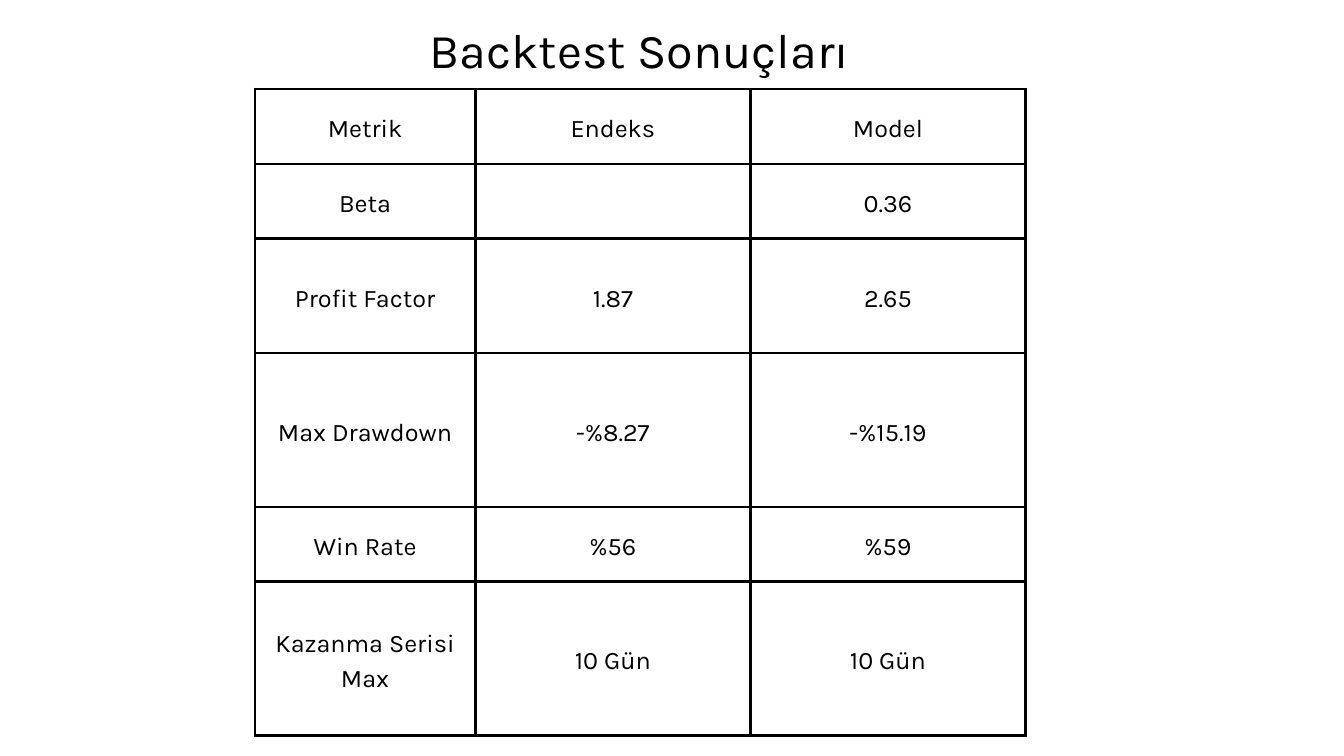
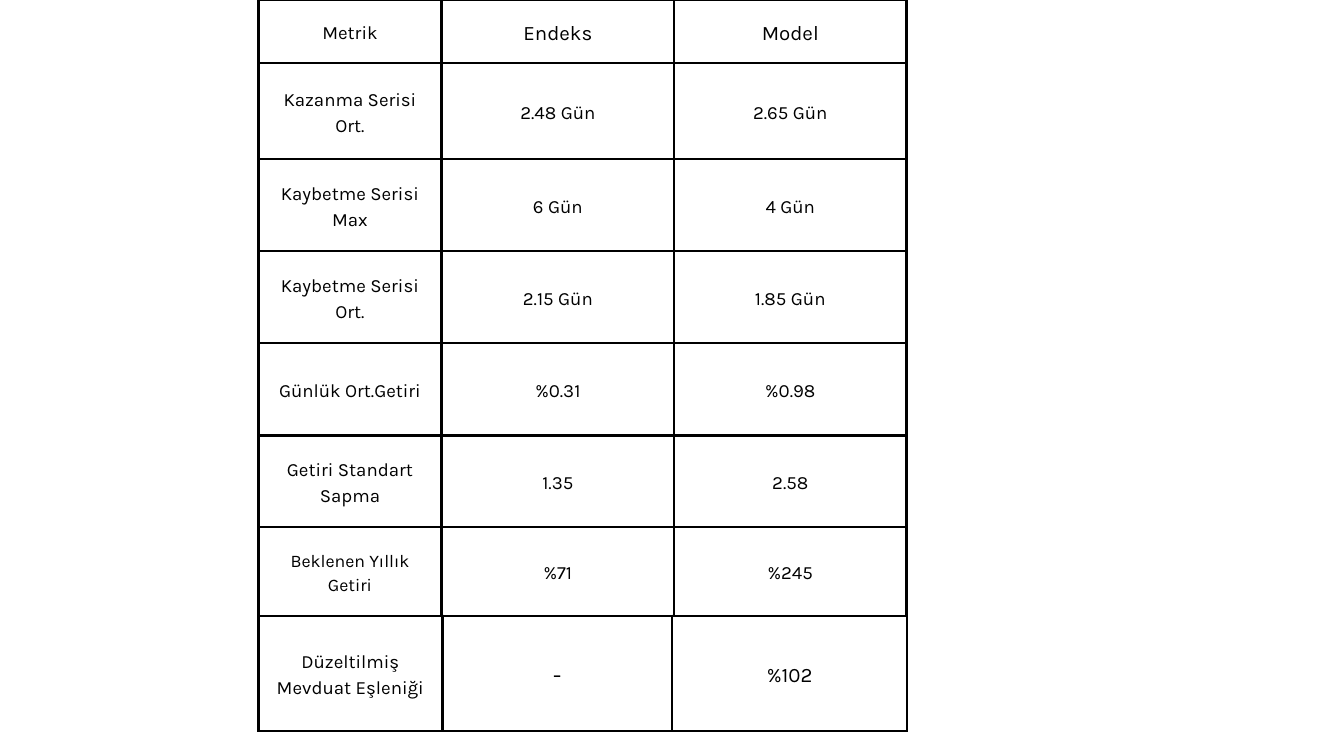
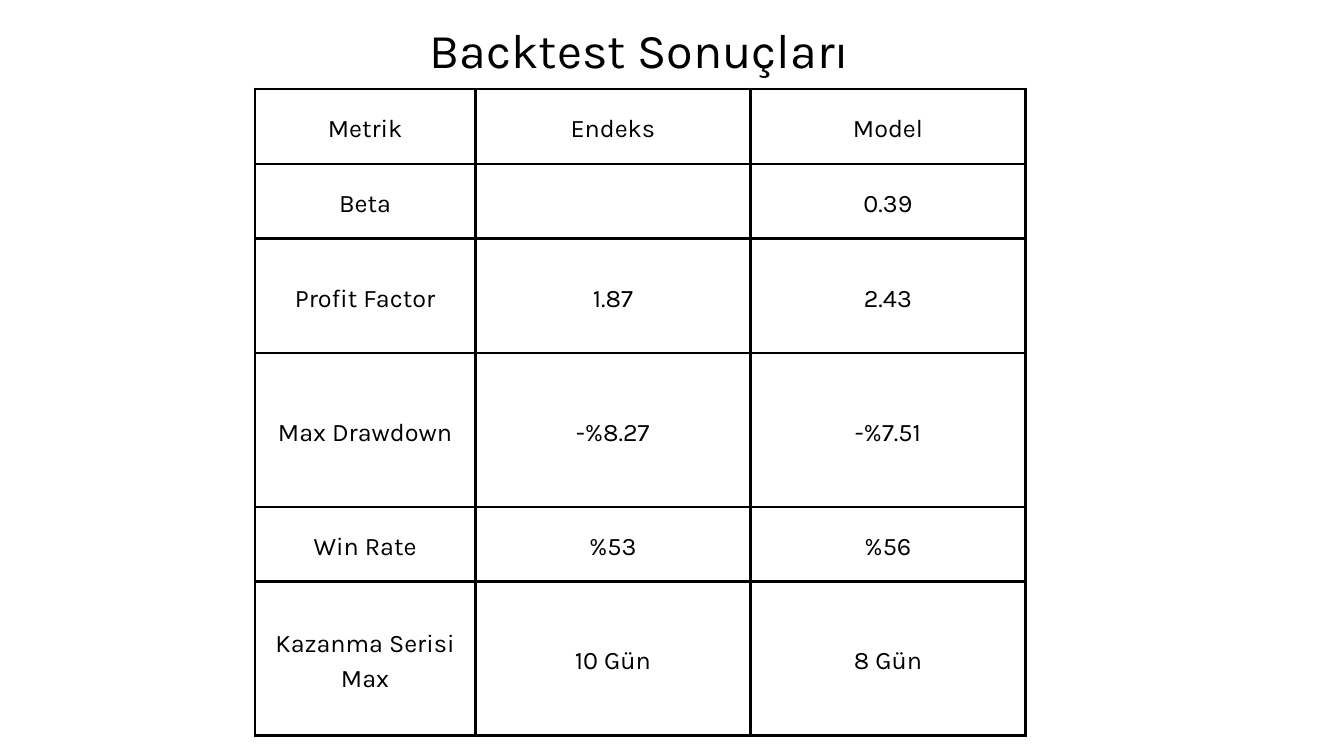
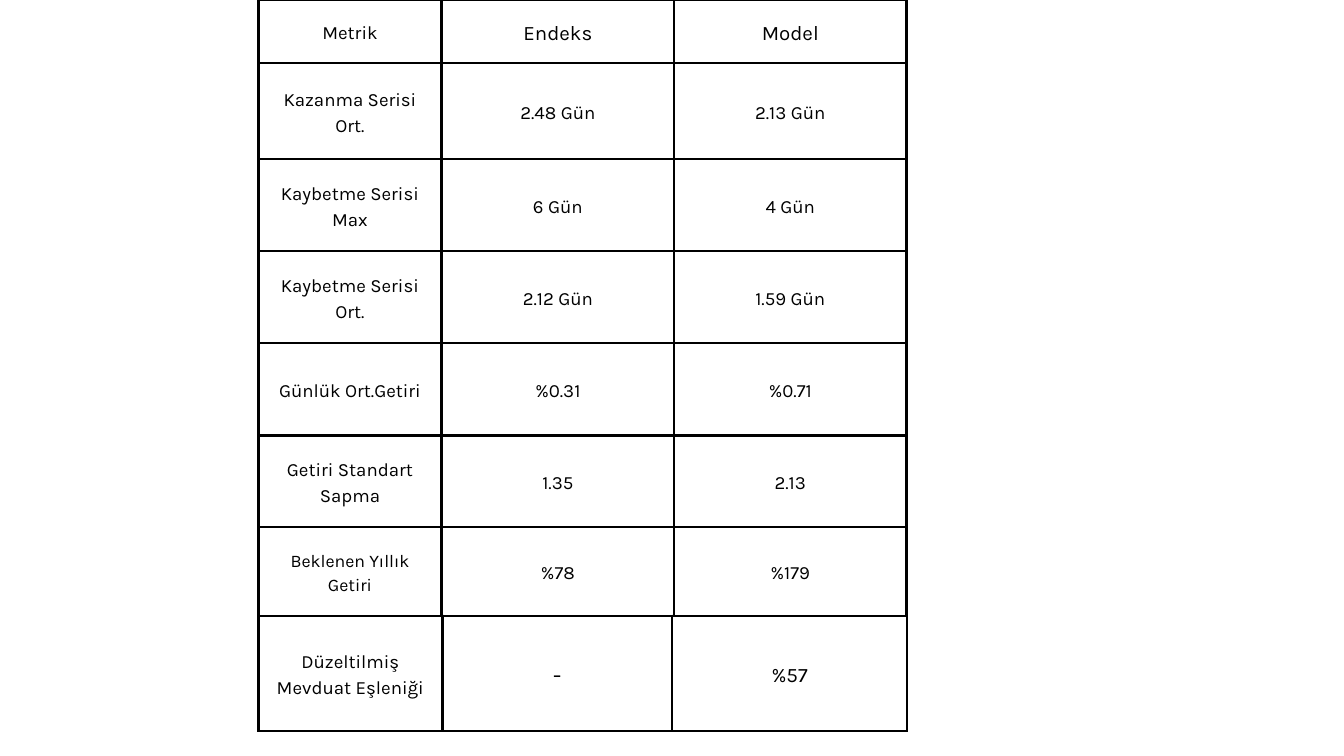
"""Build four pages of backtest results: two runs, each with a headline table and a detail table."""
from dataclasses import dataclass

from lxml import etree
from pptx import Presentation
from pptx.dml.color import RGBColor
from pptx.enum import text
from pptx.oxml import ns
from pptx.util import Emu, Pt

TITLE = "Backtest Sonuçları"
HEADER = ("Metrik", "Endeks", "Model")
HEADLINE_METRICS = ("Beta", "Profit Factor", "Max Drawdown", "Win Rate", "Kazanma Serisi Max")
DETAIL_METRICS = ("Kazanma Serisi Ort.", "Kaybetme Serisi Max", "Kaybetme Serisi Ort.",
                  "Günlük Ort.Getiri", "Getiri Standart Sapma", "Beklenen Yıllık Getiri")
DEPOSIT_METRIC = "Düzeltilmiş Mevduat Eşleniği"
RUNS = [
    {
        "headline": [("", "0.36"), ("1.87", "2.65"), ("-%8.27", "-%15.19"),
                     ("%56", "%59"), ("10 Gün", "10 Gün")],
        "detail": [("2.48 Gün", "2.65 Gün"), ("6 Gün", "4 Gün"), ("2.15 Gün", "1.85 Gün"),
                   ("%0.31", "%0.98"), ("1.35", "2.58"), ("%71", "%245")],
        "deposit": ("-", "%102"),
    },
    {
        "headline": [("", "0.39"), ("1.87", "2.43"), ("-%8.27", "-%7.51"),
                     ("%53", "%56"), ("10 Gün", "8 Gün")],
        "detail": [("2.48 Gün", "2.13 Gün"), ("6 Gün", "4 Gün"), ("2.12 Gün", "1.59 Gün"),
                   ("%0.31", "%0.71"), ("1.35", "2.13"), ("%78", "%179")],
        "deposit": ("-", "%57"),
    },
]


@dataclass(frozen=True)
class Theme:
    """Type, colour and line settings shared by every page."""
    font: str = "Karla"
    ink: str = "000000"
    title: int = 52
    headline: int = 27
    detail: int = 20
    detail_small: int = 19
    detail_large: int = 22
    dash: int = 25
    leading: float = 1.4
    border: int = 3
    inset: int = 20


THEME = Theme()
PAGE_SIZE = (1920, 1080)
TITLE_AREA = (596, 14, 635, 93)
HEADLINE_ORIGIN = (364, 127)
HEADLINE_COLUMNS = (315, 393, 393)
HEADLINE_ROWS = (107, 107, 163, 220, 107, 220)
DETAIL_ORIGIN = (369, 0)
DETAIL_COLUMNS = (262, 332, 332)
DETAIL_ROWS = (90, 137, 132, 131, 132, 131, 127)
DETAIL_SIZES = {(0, 1): THEME.detail_large, (0, 2): THEME.detail_large,
                (6, 0): THEME.detail_small}
DEPOSIT_COLUMNS = (263, 328, 336)
DEPOSIT_HEIGHT = 164
DEPOSIT_SIZES = (THEME.detail, THEME.dash, THEME.detail_large)


def px(length):
    """Turn px into EMU."""
    return Emu(length * 9525)


def write(frame, words, size):
    """Write one centred paragraph in the shared type style."""
    para = frame.paragraphs[0]
    para.alignment = text.PP_ALIGN.CENTER
    para.line_spacing = Pt(round(size * THEME.leading, 1))
    span = para.add_run()
    span.text = words
    span.font.name = THEME.font
    span.font.size = Pt(size)
    span.font.color.rgb = RGBColor.from_string(THEME.ink)


def style_cell(cell):
    """Give a cell its insets, borders and clear fill."""
    cell.margin_left = cell.margin_right = px(THEME.inset)
    cell.margin_top = cell.margin_bottom = px(THEME.inset)
    cell.vertical_anchor = text.MSO_ANCHOR.MIDDLE
    properties = cell._tc.get_or_add_tcPr()
    for side in ("a:lnL", "a:lnR", "a:lnT", "a:lnB"):
        line = etree.SubElement(properties, ns.qn(side), w=str(Pt(THEME.border)))
        fill = etree.SubElement(line, ns.qn("a:solidFill"))
        etree.SubElement(fill, ns.qn("a:srgbClr"), val=THEME.ink)
    cell.fill.background()


def add_grid(page, origin, columns, rows, content, size, sizes=None):
    """Add a bordered table; sizes overrides the type size of single cells."""
    area = (*origin, sum(columns), sum(rows))
    table = page.shapes.add_table(len(rows), len(columns), *map(px, area)).table
    table.first_row = table.horz_banding = False
    for column, width in zip(table.columns, columns):
        column.width = px(width)
    for row, height in zip(table.rows, rows):
        row.height = px(height)
    for i, line in enumerate(content):
        for j, words in enumerate(line):
            cell = table.cell(i, j)
            style_cell(cell)
            if words:
                write(cell.text_frame, words, (sizes or {}).get((i, j), size))


def with_labels(metrics, values):
    """Join header, metric names and values into table rows."""
    return [HEADER] + [(metric, *pair) for metric, pair in zip(metrics, values)]


def add_headline_page(page, run):
    """Add the title and the headline table."""
    box = page.shapes.add_textbox(*map(px, TITLE_AREA))
    frame = box.text_frame
    frame.word_wrap = True
    frame.auto_size = text.MSO_AUTO_SIZE.SHAPE_TO_FIT_TEXT
    frame.margin_left = frame.margin_right = frame.margin_top = frame.margin_bottom = 0
    write(frame, TITLE, THEME.title)
    add_grid(page, HEADLINE_ORIGIN, HEADLINE_COLUMNS, HEADLINE_ROWS,
             with_labels(HEADLINE_METRICS, run["headline"]), THEME.headline)


def add_detail_page(page, run):
    """Add the detail table and the row of deposit boxes below it."""
    add_grid(page, DETAIL_ORIGIN, DETAIL_COLUMNS, DETAIL_ROWS,
             with_labels(DETAIL_METRICS, run["detail"]), THEME.detail, DETAIL_SIZES)
    left, top = DETAIL_ORIGIN[0], DETAIL_ORIGIN[1] + sum(DETAIL_ROWS)
    for words, width, size in zip((DEPOSIT_METRIC, *run["deposit"]), DEPOSIT_COLUMNS, DEPOSIT_SIZES):
        add_grid(page, (left, top), (width,), (DEPOSIT_HEIGHT,), [(words,)], size)
        left += width


def main():
    """Build and save the deck."""
    deck = Presentation()
    deck.slide_width, deck.slide_height = map(px, PAGE_SIZE)
    blank = deck.slide_layouts[6]
    for run in RUNS:
        add_headline_page(deck.slides.add_slide(blank), run)
        add_detail_page(deck.slides.add_slide(blank), run)
    deck.save("out.pptx")


if __name__ == "__main__":
    main()
